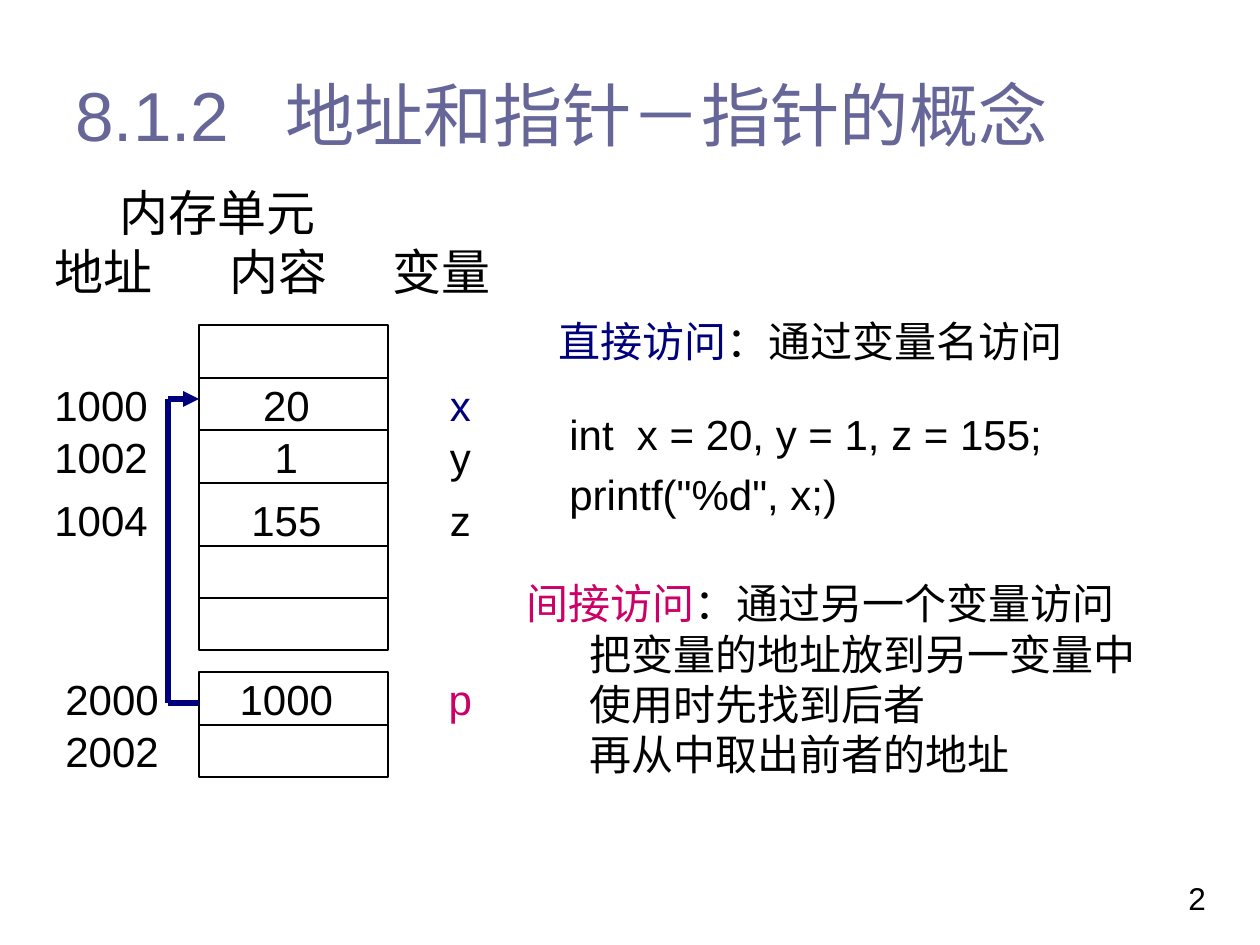
from pptx import Presentation
from pptx.dml.color import RGBColor
from pptx.enum.shapes import MSO_CONNECTOR, MSO_SHAPE
from pptx.enum.text import MSO_ANCHOR
from pptx.oxml.ns import qn
from pptx.util import Pt
from lxml.etree import SubElement

PX = 914400 // 126
INSET = 13
BLACK, NAVY, PINK, SLATE = "000000", "00007D", "CC0066", "666699"
SANS, SERIF, CJK = "Arial", "Times New Roman", "Noto Sans CJK SC"

TITLE = "8.1.2\t地址和指针－指针的概念"
HEADINGS = ["\t内存单元", "地址\t内容", "\t变量"]
CODE = ["int  x = 20, y = 1, z = 155;", 'printf("%d", x;)']
DIRECT = ("直接访问", "：通过变量名访问")
INDIRECT = ("间接访问", "：通过另一个变量访问")
STEPS = ["把变量的地址放到另一变量中", "使用时先找到后者", "再从中取出前者的地址"]

# left, top, address, content, variable, variable colour
CELLS = [
    (42, 378, "1000", "20", "x", NAVY),
    (42, 430, "1002", "1", "y", BLACK),
    (42, 493, "1004", "155", "z", BLACK),
    (53, 672, "2000", "1000", "p", PINK),
    (53, 724, "2002", "", "", BLACK),
]
# top, row heights
MEMORY_BLOCKS = [(325, [53, 52, 53, 63, 52, 52]), (672, [53, 52])]
MEMORY_LEFT, MEMORY_WIDTH = 199, 189
CONTENT_CENTER, VARIABLE_CENTER = 287, 461
POINTER_PATH = [(199, 703), (168, 703), (168, 399), (199, 399)]


def rgb(hex_color):
    return RGBColor.from_string(hex_color)


def add_text(left, top, width, height, paragraphs, size, tabs=(), line=None,
             before=0, anchor=MSO_ANCHOR.MIDDLE):
    """paragraphs: (indent, runs); run: (text, font, colour); tabs: (x on slide, alignment)."""
    frame = slide.shapes.add_textbox(*(v * PX for v in (left, top, width, height))).text_frame
    frame.word_wrap = True
    frame.vertical_anchor = anchor
    for i, (indent, runs) in enumerate(paragraphs):
        para = frame.add_paragraph() if i else frame.paragraphs[0]
        if i and before:
            para.space_before = Pt(before)
        if line:
            para.line_spacing = Pt(line)
        props = para._p.get_or_add_pPr()
        if indent:
            props.set("marL", str(indent * PX))
            props.set("indent", "0")
        if tabs:
            stops = SubElement(props, qn("a:tabLst"))
            for x, align in tabs:
                SubElement(stops, qn("a:tab"), pos=str((x - left - INSET) * PX), algn=align)
        for text, font, color in runs:
            run = para.add_run()
            run.text = text
            run.font.size = Pt(size)
            run.font.name = font
            run.font.color.rgb = rgb(color)
            SubElement(run._r.get_or_add_rPr(), qn("a:ea"), typeface=CJK)


def add_line(start, end, color, weight):
    connector = slide.shapes.add_connector(
        MSO_CONNECTOR.STRAIGHT, *(v * PX for v in (*start, *end)))
    connector.line.color.rgb = rgb(color)
    connector.line.width = Pt(weight)
    SubElement(connector._element.spPr, qn("a:effectLst"))
    return connector


def add_memory_block(top, heights):
    frame = slide.shapes.add_shape(
        MSO_SHAPE.RECTANGLE, *(v * PX for v in (MEMORY_LEFT, top, MEMORY_WIDTH, sum(heights))))
    frame.shadow.inherit = False
    frame.fill.background()
    frame.line.color.rgb = rgb(BLACK)
    frame.line.width = Pt(0.75)
    for height in heights[:-1]:
        top += height
        add_line((MEMORY_LEFT, top), (MEMORY_LEFT + MEMORY_WIDTH, top), BLACK, 0.75)


prs = Presentation()
prs.slide_width, prs.slide_height = 1260 * PX, 945 * PX
slide = prs.slides.add_slide(prs.slide_layouts[6])

add_text(1176, 873, 69, 50, [(0, [("2", SANS, BLACK)])], 18, anchor=MSO_ANCHOR.TOP)
add_text(63, 63, 1103, 102, [(0, [(TITLE, SANS, SLATE)])], 39.6, tabs=[(286, "l")])

memory, columns, variable = HEADINGS
add_text(42, 168, 483, 147,
         [(0, [(memory, SERIF, BLACK)]),
          (0, [(columns, SERIF, BLACK), (variable, CJK, BLACK)])],
         28, tabs=[(120, "l"), (230, "l"), (393, "l")], line=33.6)

add_text(557, 401, 698, 125, [(0, [(text, SANS, BLACK)]) for text in CODE], 24, before=5.5)

direct, direct_meaning = DIRECT
add_text(546, 309, 630, 63,
         [(0, [(direct, SERIF, NAVY), (direct_meaning, CJK, BLACK)])], 24, line=28.8)

indirect, indirect_meaning = INDIRECT
add_text(514, 570, 714, 217,
         [(0, [(indirect, SERIF, PINK), (indirect_meaning, CJK, BLACK)])]
         + [(63, [(step, CJK, BLACK)]) for step in STEPS], 24, line=28.8)

for top, heights in MEMORY_BLOCKS:
    add_memory_block(top, heights)

for left, top, address, content, name, color in CELLS:
    runs = [(address, SANS, BLACK)]
    if name:
        runs += [(f"\t{content}\t", SANS, BLACK), (name, SANS, color)]
    add_text(left, top, 483, 53, [(0, runs)], 24,
             tabs=[(CONTENT_CENTER, "ctr"), (VARIABLE_CENTER, "ctr")])

for start, end in zip(POINTER_PATH, POINTER_PATH[1:]):
    segment = add_line(start, end, NAVY, 3)
SubElement(segment.line._get_or_add_ln(), qn("a:tailEnd"), type="triangle")

prs.save("out.pptx")
